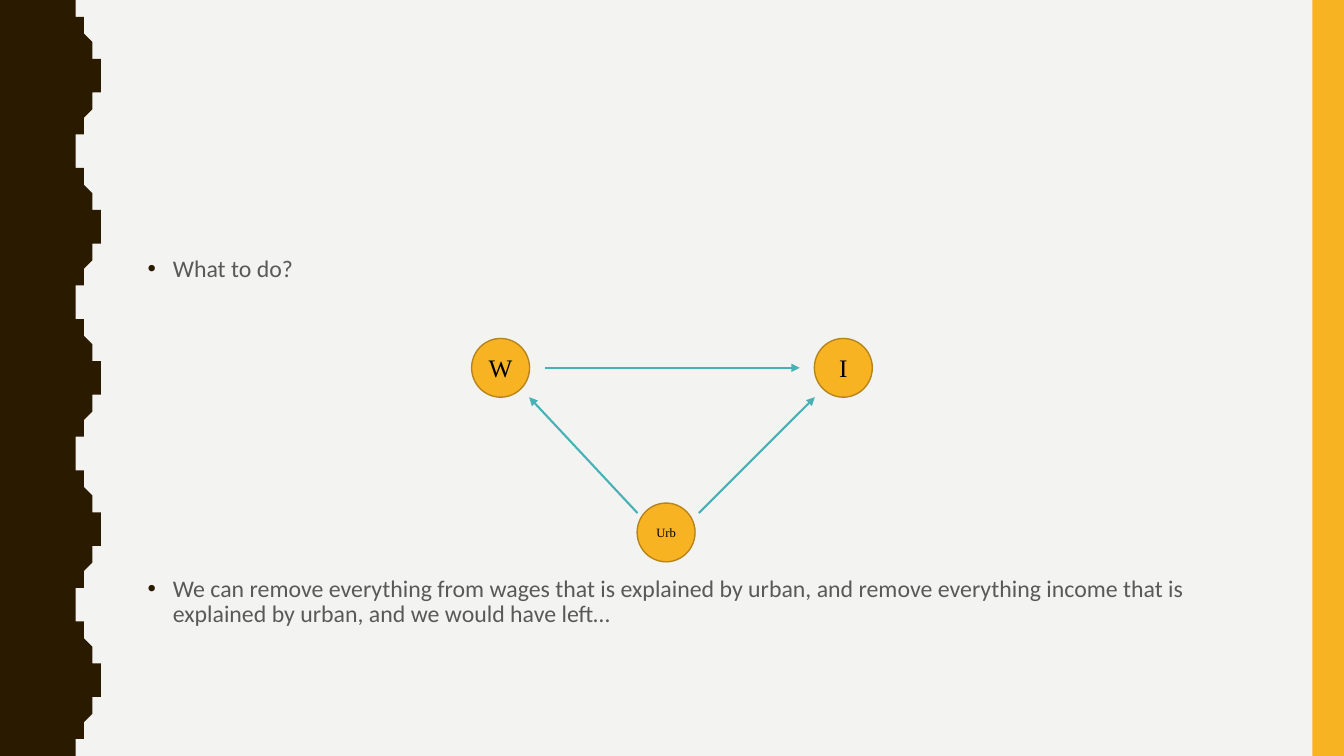
from lxml.etree import SubElement
from pptx import Presentation
from pptx.dml.color import RGBColor
from pptx.enum.shapes import MSO_CONNECTOR as Connector, MSO_SHAPE as Shape
from pptx.enum.text import MSO_ANCHOR as Anchor, PP_ALIGN as Align
from pptx.oxml.ns import qn
from pptx.util import Inches, Pt

COLUMNS, ROWS = 160, 90
PAPER, BROWN, AMBER, AMBER_EDGE = "F3F3F2", "2A1A00", "F8B323", "B7841A"
TEAL, GREY, BLACK = "46B2B5", "595959", "000000"


def colour(value):
    return RGBColor.from_string(value)


class SlidePainter:
    """Draws the elements of one slide on a grid of columns and rows."""

    body_font, node_font = "Calibri", "Times New Roman"

    def __init__(self, deck):
        self.cell = deck.slide_width / COLUMNS
        self.page = deck.slides.add_slide(deck.slide_layouts[6])
        self.shapes = self.page.shapes
        self.page.background.fill.solid()
        self.page.background.fill.fore_color.rgb = colour(PAPER)

    def grid(self, *lengths):
        return [round(length * self.cell) for length in lengths]

    def paint(self, shape, fill, edge=None):
        shape.shadow.inherit = False
        shape.fill.solid()
        shape.fill.fore_color.rgb = colour(fill)
        if edge:
            shape.line.color.rgb = colour(edge)
            shape.line.width = Pt(1)
        else:
            shape.line.fill.background()

    def set_text(self, para, text, font, size, ink):
        para.text = text
        for span in para.runs:
            span.font.name = font
            span.font.size = Pt(size)
            span.font.color.rgb = colour(ink)

    def wave(self, left, period, amplitude):
        rise = [(0, 0), (0, 0.84), (0.12, 1.68), (0.24, 2.4),
                (0.36, 3), (0.6, 3.5), (0.84, 4)]
        half = rise + [(amplitude - x, period / 2 - y) for x, y in reversed(rise)]
        full = half + [(x, period - y) for x, y in reversed(half[:-1])]
        edge = [(left + x, start + y)
                for start in range(0, ROWS, period) for x, y in full]
        builder = self.shapes.build_freeform(0, 0, scale=self.cell)
        builder.add_line_segments(edge + [(0, ROWS)], close=True)
        self.paint(builder.convert_to_shape(), BROWN)

    def bar(self, left):
        bar = self.shapes.add_shape(
            Shape.RECTANGLE, *self.grid(left, 0, COLUMNS - left, ROWS))
        self.paint(bar, AMBER)

    def node(self, label, column, row, size, width=6.9, height=7):
        node = self.shapes.add_shape(Shape.OVAL, *self.grid(
            column - width / 2, row - height / 2, width, height))
        self.paint(node, AMBER, AMBER_EDGE)
        frame = node.text_frame
        frame.word_wrap = False
        frame.vertical_anchor = Anchor.MIDDLE
        para = frame.paragraphs[0]
        para.alignment = Align.CENTER
        self.set_text(para, label, self.node_font, size, BLACK)

    def arrow(self, start, end):
        arrow = self.shapes.add_connector(
            Connector.STRAIGHT, *self.grid(*start, *end))
        arrow.line.color.rgb = colour(TEAL)
        arrow.line.width = Pt(1.5)
        properties = arrow._element.spPr
        SubElement(properties.find(qn("a:ln")), qn("a:tailEnd"), type="triangle")
        SubElement(properties, qn("a:effectLst"))

    def bullets(self, area, items):
        box = self.shapes.add_textbox(*self.grid(*area))
        frame = box.text_frame
        frame.word_wrap = True
        for index, (text, gap) in enumerate(items):
            para = frame.add_paragraph() if index else frame.paragraphs[0]
            self.set_text(para, text, self.body_font, 17, GREY)
            para.line_spacing = 0.9
            para.space_before = Pt(gap)
            self.add_bullet(para)

    def add_bullet(self, para):
        properties = para._p.get_or_add_pPr()
        indent = Inches(0.25)
        properties.set("marL", str(indent))
        properties.set("indent", str(-indent))
        tint = SubElement(properties, qn("a:buClr"))
        SubElement(tint, qn("a:srgbClr"), val=BROWN)
        SubElement(properties, qn("a:buFont"), typeface="Arial")
        SubElement(properties, qn("a:buChar"), char="•")


def main():
    deck = Presentation()
    deck.slide_width, deck.slide_height = Inches(13.33), Inches(7.5)
    painter = SlidePainter(deck)
    painter.wave(left=9.36, period=18, amplitude=2.28)
    painter.bar(left=156.24)
    painter.bullets((16.4, 30, 133.6, 47.2), [
        ("What to do?", 0),
        ("We can remove everything from wages that is explained by urban, "
         "and remove everything income that is explained by urban, "
         "and we would have left…", 210),
    ])
    for label, column, row, size in [
            ("W", 59.6, 43.8, 18), ("I", 100.4, 43.8, 18), ("Urb", 79.3, 63.4, 9)]:
        painter.node(label, column, row, size)
    for start, end in [((64.9, 43.8), (95.2, 43.8)),
                       ((75.9, 61.1), (63, 47.3)),
                       ((83.2, 61.1), (97, 47.3))]:
        painter.arrow(start, end)
    deck.save("out.pptx")


if __name__ == "__main__":
    main()
